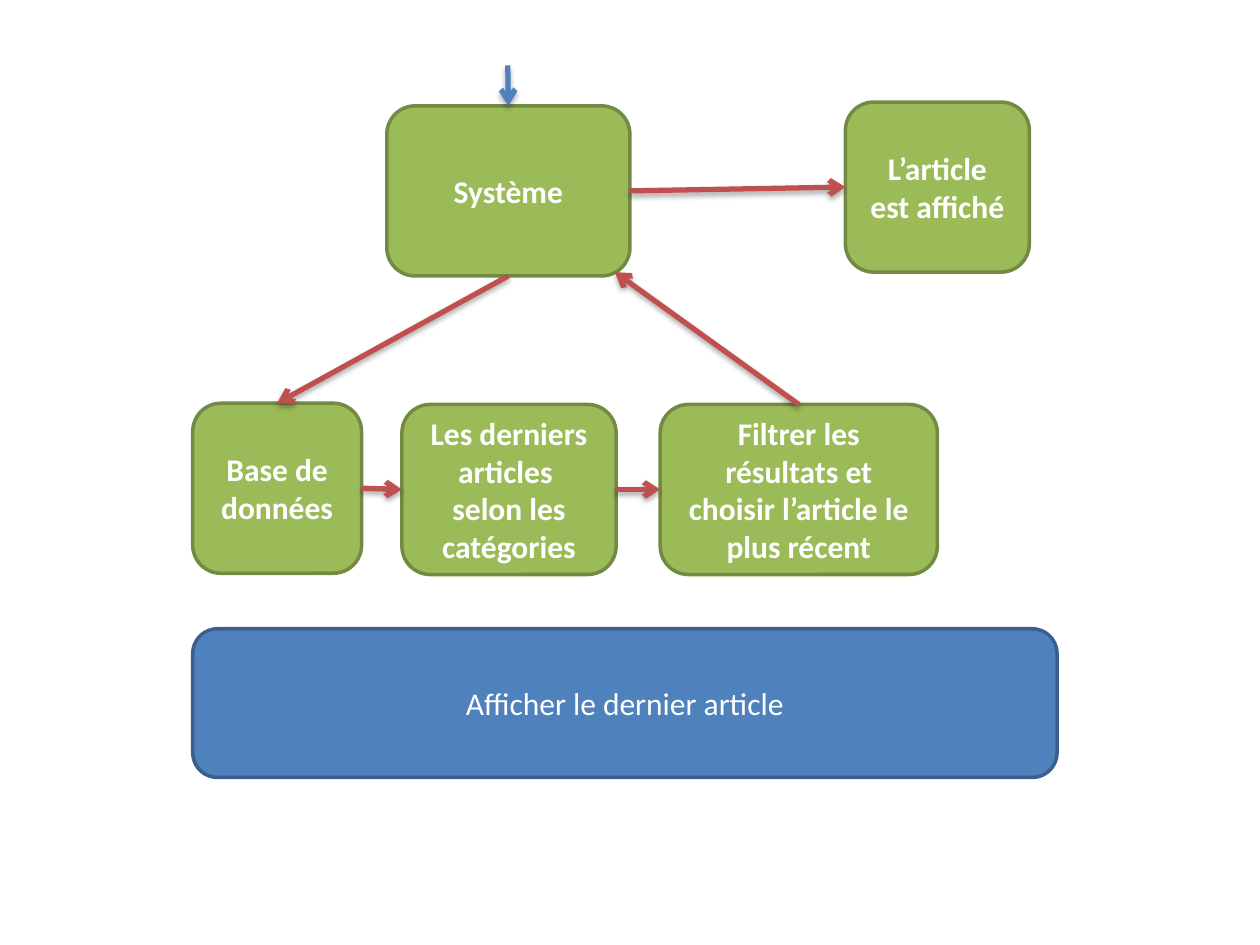
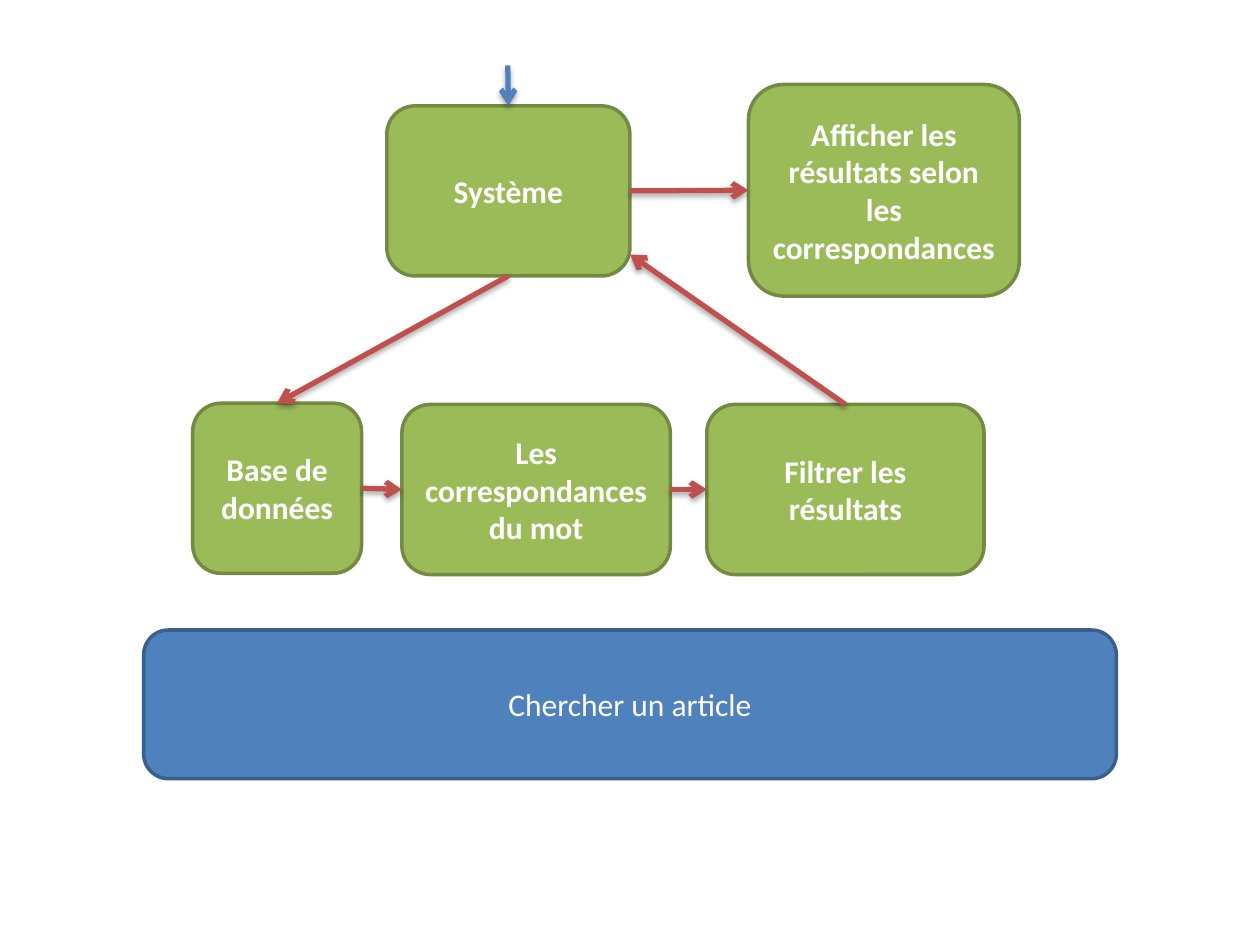
from lxml import etree
from pptx import Presentation
from pptx.dml.color import RGBColor
from pptx.enum.shapes import MSO_CONNECTOR, MSO_SHAPE
from pptx.enum.text import MSO_ANCHOR, PP_ALIGN
from pptx.oxml import parse_xml
from pptx.oxml.ns import nsdecls, qn
from pptx.util import Inches, Pt

# Shared style: (fill, outline) pairs and line colours
FONT = "Calibri"
GREEN = ("9BBB59", "738A42")
BLUE = ("4F81BD", "3A5F8C")
RED = "C0504D"
WHITE = "FFFFFF"

# Connection sites of a box
TOP, LEFT, BOTTOM, RIGHT = range(4)

ROW_Y, STEP_H = 3.21, 1.35
SHADOW = (
    f'<a:effectLst {nsdecls("a")}>'
    '<a:outerShdw blurRad="40000" dist="23000" dir="5400000" rotWithShape="0">'
    '<a:srgbClr val="000000"><a:alpha val="35000"/></a:srgbClr>'
    '</a:outerShdw></a:effectLst>'
)


def rgb(color):
    return RGBColor.from_string(color)


class FlowDeck:
    def __init__(self):
        self.prs = Presentation()
        self.prs.slide_width, self.prs.slide_height = Inches(10), Inches(7.5)
        self.s = None

    def new_slide(self):
        self.s = self.prs.slides.add_slide(self.prs.slide_layouts[6])

    def box(self, text, x, y, w, h=STEP_H, colors=GREEN, bold=True, rtl=False):
        sp = self.s.shapes.add_shape(MSO_SHAPE.FLOWCHART_ALTERNATE_PROCESS,
                                     Inches(x), Inches(y), Inches(w), Inches(h))
        sp.shadow.inherit = False
        sp.fill.solid()
        sp.fill.fore_color.rgb = rgb(colors[0])
        sp.line.color.rgb = rgb(colors[1])
        sp.line.width = Pt(2)
        tf = sp.text_frame
        tf.word_wrap = True
        tf.vertical_anchor = MSO_ANCHOR.MIDDLE
        p = tf.paragraphs[0]
        p.text = text
        p.alignment = PP_ALIGN.CENTER
        if rtl:
            p._p.get_or_add_pPr().set("rtl", "1")
        p.font.name, p.font.size, p.font.bold = FONT, Pt(18), bold
        p.font.color.rgb = rgb(WHITE)
        return sp

    def arrow(self, start, end, color=RED):
        """Each end is a point (x, y) or a (box, site) pair."""
        points = [Inches(v) if isinstance(v, (int, float)) else 0
                  for v in (*start, *end)]
        c = self.s.shapes.add_connector(MSO_CONNECTOR.STRAIGHT, *points)
        for (target, site), connect in ((start, c.begin_connect), (end, c.end_connect)):
            if not isinstance(target, (int, float)):
                connect(target, site)
        c.line.color.rgb = rgb(color)
        c.line.width = Pt(3)
        etree.SubElement(c.line._get_or_add_ln(), qn("a:tailEnd"), type="arrow")
        c._element.spPr.append(parse_xml(SHADOW))

    def flow(self, caption, search, choose, result, return_to):
        """One use case; each box is given as its text followed by its place."""
        self.new_slide()
        self.box(*caption, colors=BLUE, bold=False)

        # Boxes
        system = self.box("Système", 3.07, 0.84, 1.93)
        database = self.box("Base de données", 1.53, 3.2, 1.34)
        found = self.box(*search, rtl=True)
        filtered = self.box(*choose, rtl=True)
        shown = self.box(*result)

        # Arrows: request in, round trip through the database, result out
        self.arrow((4.03, 0.52), (system, TOP), BLUE[0])
        self.arrow((system, BOTTOM), (database, TOP))
        self.arrow((database, RIGHT), (found, LEFT))
        self.arrow((found, RIGHT), (filtered, LEFT))
        self.arrow((filtered, TOP), return_to)
        self.arrow((system, RIGHT), (shown, LEFT))


deck = FlowDeck()

# Slide 1: show the latest article
deck.flow(
    caption=("Afficher le dernier article", 1.53, 4.99, 6.86, 1.18),
    search=("Les derniers articles  selon les catégories", 3.19, ROW_Y, 1.7),
    choose=("Filtrer les résultats et choisir l’article le plus récent",
            5.24, ROW_Y, 2.2),
    result=("L’article est affiché", 6.71, 0.81, 1.46),
    return_to=(4.88, 2.16),
)

# Slide 2: search for an article
deck.flow(
    caption=("Chercher un article", 1.14, 5, 7.72, 1.18),
    search=("Les correspondances du mot", 3.19, ROW_Y, 2.13),
    choose=("Filtrer les résultats", 5.61, ROW_Y, 2.2),
    result=("Afficher les résultats selon les correspondances",
            5.94, 0.67, 2.15, 1.68),
    return_to=(5, 2.02),
)

deck.prs.save("out.pptx")
